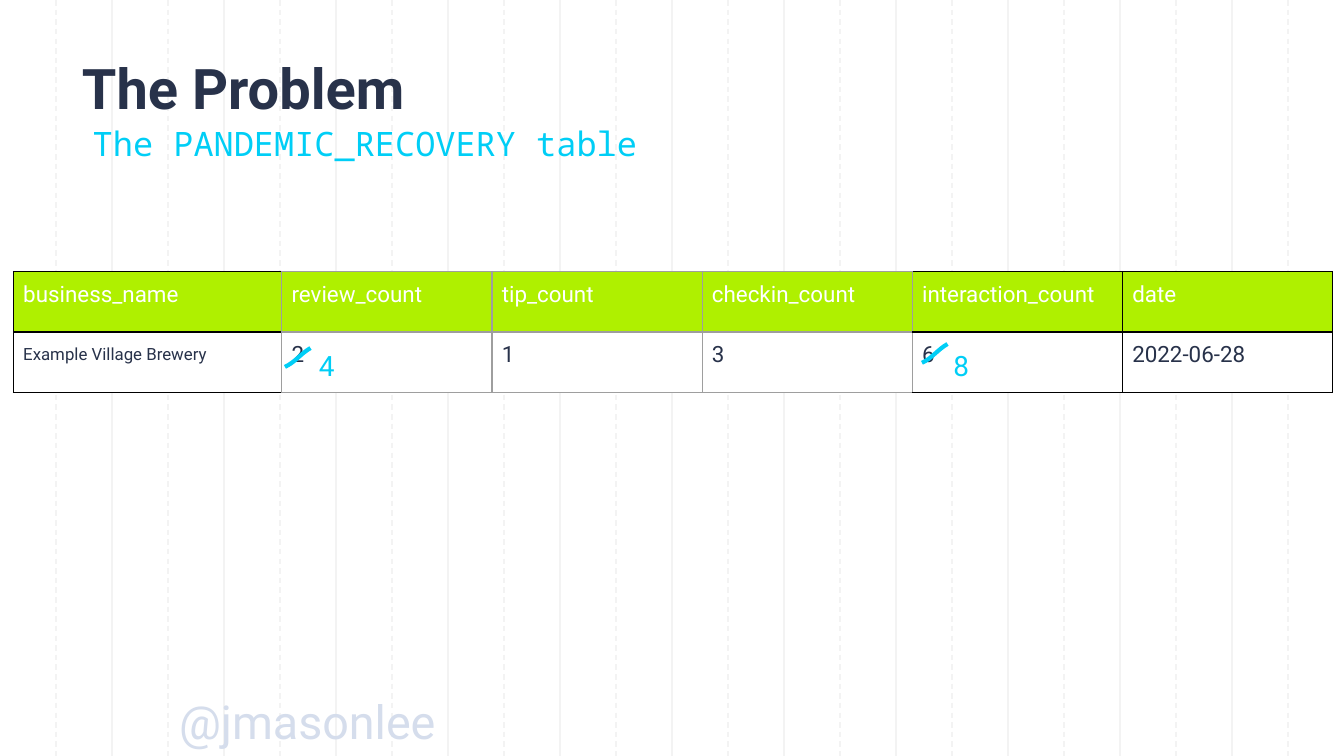
"""Build the slide that shows updated counts in the PANDEMIC_RECOVERY table."""
from dataclasses import dataclass

from lxml.etree import SubElement
from pptx import Presentation
from pptx.dml.color import RGBColor
from pptx.enum.dml import MSO_LINE_DASH_STYLE as Dash
from pptx.enum.shapes import MSO_CONNECTOR as Connector
from pptx.enum.text import MSO_ANCHOR as Anchor
from pptx.oxml.ns import qn
from pptx.slide import Slide
from pptx.table import _Cell as Cell
from pptx.util import Pt

INK, CYAN, LIME, WHITE = "28324A", "00CEF6", "AFF000", "FFFFFF"
GRID, GRAY, BLACK, PALE = "F3F3F3", "9E9E9E", "000000", "D5DDEC"
WIDTH, HEIGHT = 720, 405
INSET = 5.25


@dataclass
class Label:
    text: str
    left: float
    top: float
    width: float
    height: float
    size: float
    color: str
    font: str = "Roboto"
    bold: bool = False
    inset: float = 0
    line_spacing: float = 1
    anchor: Anchor = Anchor.TOP


@dataclass
class Strike:
    left: float
    top: float


LABELS = [
    Label("The Problem", 43.92, 31.68, 630, 34.56, 30, INK, bold=True,
          line_spacing=0.9, anchor=Anchor.MIDDLE),
    Label("The PANDEMIC_RECOVERY table", 49.68, 65.8, 629.28, 34.56, 18, CYAN,
          font="Noto Sans Mono"),
    Label("@jmasonlee", 96, 371, 160, 32, 25, PALE),
]
CORRECTIONS = [
    Label("4", 165.6, 181.44, 30.24, 28.8, 15, CYAN, inset=INSET),
    Label("8", 505.44, 181.44, 30.24, 28.8, 15, CYAN, inset=INSET),
]
STRIKES = [Strike(152.64, 186.48), Strike(493.92, 184.32)]
ROWS = [
    ["business_name", "review_count", "tip_count", "checkin_count",
     "interaction_count", "date"],
    ["Example Village Brewery", "2", "1", "3", "6", "2022-06-28"],
]
COLUMN_WIDTHS = [143.8] + [112.6] * 5
GRAY_COLUMNS = range(1, 4)


def rgb(color: str) -> RGBColor:
    return RGBColor.from_string(color)


def add_run(paragraph, text: str, size: float, color: str,
            font: str = "Roboto", bold: bool = False) -> None:
    run = paragraph.add_run()
    run.text = text
    run.font.name = font
    run.font.size = Pt(size)
    run.font.bold = bold
    run.font.color.rgb = rgb(color)


def add_label(slide: Slide, label: Label) -> None:
    shape = slide.shapes.add_textbox(Pt(label.left), Pt(label.top),
                                     Pt(label.width), Pt(label.height))
    frame = shape.text_frame
    frame.word_wrap = True
    frame.vertical_anchor = label.anchor
    frame.margin_left = frame.margin_right = Pt(label.inset)
    frame.margin_top = frame.margin_bottom = Pt(label.inset)
    paragraph = frame.paragraphs[0]
    paragraph.line_spacing = label.line_spacing
    add_run(paragraph, label.text, label.size, label.color, label.font, label.bold)


def add_grid(slide: Slide) -> None:
    for index in range(1, 24):
        x = Pt(index * WIDTH / 24)
        line = slide.shapes.add_connector(Connector.STRAIGHT, x, 0, x, Pt(HEIGHT))
        line.line.color.rgb = rgb(GRID)
        line.line.width = Pt(0.75)
        if index % 2:
            line.line.dash_style = Dash.DASH
        SubElement(line._element.spPr, qn("a:effectLst"))


def set_borders(cell: Cell, colors: dict[str, str]) -> None:
    properties = cell._tc.get_or_add_tcPr()
    for position, side in enumerate("LRTB"):
        border = SubElement(properties, qn(f"a:ln{side}"), w=str(Pt(0.75)))
        fill = SubElement(border, qn("a:solidFill"))
        SubElement(fill, qn("a:srgbClr"), val=colors[side])
        properties.insert(position, border)


def add_count_table(slide: Slide) -> None:
    table = slide.shapes.add_table(len(ROWS), len(COLUMN_WIDTHS), Pt(7.2), Pt(145.44),
                                   Pt(sum(COLUMN_WIDTHS)), Pt(64.8)).table
    for column, width in zip(table.columns, COLUMN_WIDTHS):
        column.width = Pt(width)
    for row_index, texts in enumerate(ROWS):
        table.rows[row_index].height = Pt(32.4)
        for column_index, text in enumerate(texts):
            cell = table.cell(row_index, column_index)
            is_header = row_index == 0
            cell.fill.solid()
            cell.fill.fore_color.rgb = rgb(LIME if is_header else WHITE)
            cell.margin_left = cell.margin_right = Pt(INSET)
            cell.margin_top = cell.margin_bottom = Pt(INSET)
            is_name = not is_header and column_index == 0
            paragraph = cell.text_frame.paragraphs[0]
            paragraph.line_spacing = 1.15 if is_name else 1
            add_run(paragraph, text, 9 if is_name else 12, WHITE if is_header else INK)
            edge = GRAY if column_index in GRAY_COLUMNS else BLACK
            set_borders(cell, {
                "L": GRAY if column_index - 1 in GRAY_COLUMNS else edge,
                "R": GRAY if column_index + 1 in GRAY_COLUMNS else edge,
                "T": edge, "B": edge})


def add_strike(slide: Slide, strike: Strike) -> None:
    controls = [(13.68, 0), (8.64, 2.88), (5.04, 7.92), (0, 10.08)]
    points = []
    for step in range(9):
        t = step / 8
        weights = [(1 - t) ** 3, 3 * t * (1 - t) ** 2, 3 * t * t * (1 - t), t ** 3]
        x = sum(weight * point[0] for weight, point in zip(weights, controls))
        y = sum(weight * point[1] for weight, point in zip(weights, controls))
        points.append((Pt(strike.left + x), Pt(strike.top + y)))
    builder = slide.shapes.build_freeform(*points[0])
    builder.add_line_segments(points[1:], close=False)
    shape = builder.convert_to_shape()
    shape.shadow.inherit = False
    shape.fill.background()
    shape.line.color.rgb = rgb(CYAN)
    shape.line.width = Pt(2.25)


def main() -> None:
    presentation = Presentation()
    presentation.slide_width, presentation.slide_height = Pt(WIDTH), Pt(HEIGHT)
    slide = presentation.slides.add_slide(presentation.slide_layouts[6])
    add_grid(slide)
    for label in LABELS:
        add_label(slide, label)
    add_count_table(slide)
    for strike in STRIKES:
        add_strike(slide, strike)
    for correction in CORRECTIONS:
        add_label(slide, correction)
    presentation.save("out.pptx")


if __name__ == "__main__":
    main()
